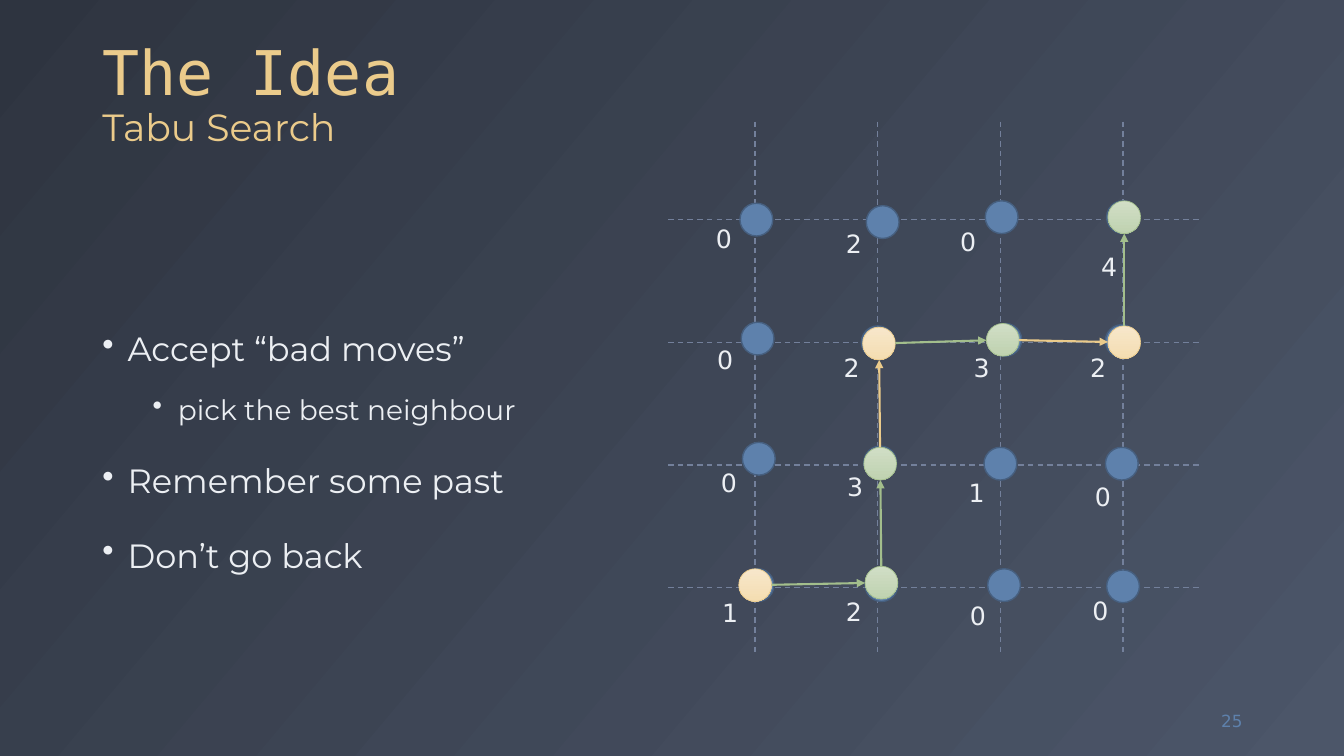
import dataclasses

import lxml.etree
import pptx
import pptx.dml.color
import pptx.enum.dml
import pptx.enum.shapes
import pptx.enum.text
import pptx.oxml.ns
import pptx.util


@dataclasses.dataclass(frozen=True)
class Theme:
    """Hold the colours, fonts and type sizes."""

    backdrop = ("2E3440", "4C5669")
    gold = "EBCB8B"
    green = "A3BE8C"
    blue = "5E81AC"
    rim = "465F7F"
    guide = "73809B"
    text = "ECEFF3"
    shades = {gold: ("F7E7CB", "F4DDB1"), green: ("D1DEC6", "BFD2B0")}
    heading_font = "DejaVu Sans Mono"
    body_font = "Montserrat"
    label_font = "DejaVu Sans"
    heading_size = 44
    subtitle_size = 27
    bullet_sizes = (24, 20)
    label_size = 18
    number_size = 12


CELL = 381000
COLUMNS, ROWS = 32, 18
LATTICE_LEFT, LATTICE_TOP, LATTICE_STEP = 17.98, 5.23, 2.92
RADIUS = 0.39
LABEL_WIDTH, LABEL_HEIGHT = 0.86, 0.96

BULLETS = [
    ("Accept “bad moves”", 0),
    ("pick the best neighbour", 1),
    ("Remember some past", 0),
    ("Don’t go back", 0),
]

# Each entry: value, node centre, label corner, in lattice steps.
NODES = [
    ("0", (0.01, 0), (-0.4, -0.01)),
    ("2", (1.04, 0.02), (0.66, 0.03)),
    ("0", (2.01, -0.02), (1.59, 0.01)),
    ("4", (3, -0.02), (2.74, 0.22)),
    ("0", (0.02, 0.97), (-0.39, 0.98)),
    ("2", (1, 1), (0.64, 1.04)),
    ("3", (2.04, 0.98), (1.7, 1.04)),
    ("2", (2.99, 0.99), (2.65, 1.04)),
    ("0", (0.03, 1.95), (-0.36, 1.98)),
    ("3", (1.02, 1.98), (0.67, 2.01)),
    ("1", (2, 1.99), (1.66, 2.06)),
    ("0", (2.99, 1.99), (2.69, 2.09)),
    ("1", (0.02, 2.98), (-0.35, 3.04)),
    ("2", (1.03, 2.98), (0.66, 3.03)),
    ("0", (2.03, 2.98), (1.67, 3.06)),
    ("0", (3, 2.99), (2.67, 3.02)),
]

WALK = [
    (1, (0, 2.98)),
    (2, (1.03, 2.96)),
    (3, (1.02, 1.99)),
    (2, (1.01, 1.01)),
    (3, (2.02, 0.98)),
    (2, (3.01, 1)),
    (4, (3.01, -0.02)),
]


def color(code):
    """Return the colour for a hex code."""
    return pptx.dml.color.RGBColor.from_string(code)


def cells(*values):
    """Convert grid cells to lengths."""
    return [pptx.util.Emu(round(value * CELL)) for value in values]


def lattice(point):
    """Convert lattice steps to grid cells."""
    return LATTICE_LEFT + point[0] * LATTICE_STEP, LATTICE_TOP + point[1] * LATTICE_STEP


class Canvas:
    """Draw styled elements on the current slide."""

    def __init__(self, page, theme):
        self.page = page
        self.theme = theme
        self.gradient(page.background.fill, theme.backdrop, 320)

    def gradient(self, fill, codes, angle):
        """Apply a two-colour gradient."""
        fill.gradient()
        fill.gradient_angle = angle
        for stop, code in zip(fill.gradient_stops, codes):
            stop.color.rgb = color(code)

    def style(self, font, name, size, code):
        """Set the face, size and colour of a font."""
        font.name = name
        font.size = pptx.util.Pt(size)
        font.color.rgb = color(code)

    def title(self, heading, subtitle, place):
        """Fill the title placeholder with two lines."""
        box = self.page.shapes.title
        box.left, box.top, box.width, box.height = cells(*place)
        frame = box.text_frame
        frame.auto_size = pptx.enum.text.MSO_AUTO_SIZE.NONE
        frame.vertical_anchor = pptx.enum.text.MSO_ANCHOR.BOTTOM
        para = frame.paragraphs[0]
        para.alignment = pptx.enum.text.PP_ALIGN.LEFT
        para.line_spacing = 0.9
        span = para.add_run()
        span.text = heading
        self.style(span.font, self.theme.heading_font, self.theme.heading_size, self.theme.gold)
        para.add_line_break()
        span = para.add_run()
        span.text = subtitle
        self.style(span.font, self.theme.body_font, self.theme.subtitle_size, self.theme.gold)

    def bullets(self, items, place):
        """Add a bulleted list."""
        frame = self.page.shapes.add_textbox(*cells(*place)).text_frame
        frame.word_wrap = True
        frame.vertical_anchor = pptx.enum.text.MSO_ANCHOR.MIDDLE
        for index, (text, level) in enumerate(items):
            para = frame.add_paragraph() if index else frame.paragraphs[0]
            para.text = text
            para.level = level
            properties = para._p.get_or_add_pPr()
            properties.set("marL", str(pptx.util.Inches(0.25 + 0.5 * level)))
            properties.set("indent", str(pptx.util.Inches(-0.25)))
            mark = lxml.etree.SubElement(properties, pptx.oxml.ns.qn("a:buChar"))
            mark.set("char", "•")
            para.line_spacing = 1.5
            if index:
                para.space_before = pptx.util.Pt(5 if level else 10)
            self.style(para.font, self.theme.body_font, self.theme.bullet_sizes[level], self.theme.text)

    def label(self, text, place, size, code):
        """Add a short unwrapped text."""
        box = self.page.shapes.add_textbox(*cells(*place))
        box.text_frame.word_wrap = False
        para = box.text_frame.paragraphs[0]
        para.text = text
        self.style(para.font, self.theme.label_font, size, code)
        return box.text_frame

    def page_number(self, text, place):
        """Add the right-aligned page number."""
        frame = self.label(text, place, self.theme.number_size, self.theme.blue)
        frame.word_wrap = True
        frame.vertical_anchor = pptx.enum.text.MSO_ANCHOR.MIDDLE
        frame.paragraphs[0].alignment = pptx.enum.text.PP_ALIGN.RIGHT

    def line(self, start, end, code, width):
        """Add a straight line between two cell points."""
        line = self.page.shapes.add_connector(
            pptx.enum.shapes.MSO_CONNECTOR.STRAIGHT, *cells(*start, *end))
        line.line.color.rgb = color(code)
        line.line.width = pptx.util.Pt(width)
        lxml.etree.SubElement(line._element.spPr, pptx.oxml.ns.qn("a:effectLst"))
        return line.line

    def guide(self, start, end):
        """Add a dashed lattice line."""
        line = self.line(lattice(start), lattice(end), self.theme.guide, 1)
        line.dash_style = pptx.enum.dml.MSO_LINE.DASH

    def arrow(self, start, end, code):
        """Add an arrow between the rims of two nodes."""
        (x1, y1), (x2, y2) = lattice(start), lattice(end)
        length = ((x2 - x1) ** 2 + (y2 - y1) ** 2) ** 0.5
        dx, dy = (x2 - x1) / length * RADIUS, (y2 - y1) / length * RADIUS
        line = self.line((x1 + dx, y1 + dy), (x2 - dx, y2 - dy), code, 1.5)
        tail = lxml.etree.SubElement(line._get_or_add_ln(), pptx.oxml.ns.qn("a:tailEnd"))
        tail.set("type", "triangle")

    def node(self, center, code):
        """Add a round node, shaded when it belongs to the walk."""
        x, y = lattice(center)
        dot = self.page.shapes.add_shape(
            pptx.enum.shapes.MSO_SHAPE.OVAL, *cells(x - RADIUS, y - RADIUS, 2 * RADIUS, 2 * RADIUS))
        dot.shadow.inherit = False
        shaded = code in self.theme.shades
        if shaded:
            self.gradient(dot.fill, self.theme.shades[code], 270)
        else:
            dot.fill.solid()
            dot.fill.fore_color.rgb = color(code)
        dot.line.color.rgb = color(code if shaded else self.theme.rim)
        dot.line.width = pptx.util.Pt(0.5 if shaded else 1)


def main():
    """Build and save the deck."""
    deck = pptx.Presentation()
    deck.slide_width, deck.slide_height = cells(COLUMNS, ROWS)
    theme = Theme()
    canvas = Canvas(deck.slides.add_slide(deck.slide_layouts[5]), theme)
    for step in range(4):
        canvas.guide((-0.71, step), (3.63, step))
        canvas.guide((step, -0.8), (step, 3.55))
    canvas.title("The Idea", "Tabu Search", (2.2, 0.43, 27.6, 3.26))
    canvas.bullets(BULLETS, (2.2, 4.8, 13.6, 11.42))
    canvas.page_number("25", (27.82, 16.68, 2, 0.96))
    for value, center, corner in NODES:
        canvas.node(center, theme.blue)
        canvas.label(value, (*lattice(corner), LABEL_WIDTH, LABEL_HEIGHT), theme.label_size, theme.text)
    previous, place = WALK[0]
    canvas.node(place, theme.gold)
    for value, center in WALK[1:]:
        code = theme.green if value > previous else theme.gold
        canvas.arrow(place, center, code)
        canvas.node(center, code)
        previous, place = value, center
    deck.save("out.pptx")


if __name__ == "__main__":
    main()
